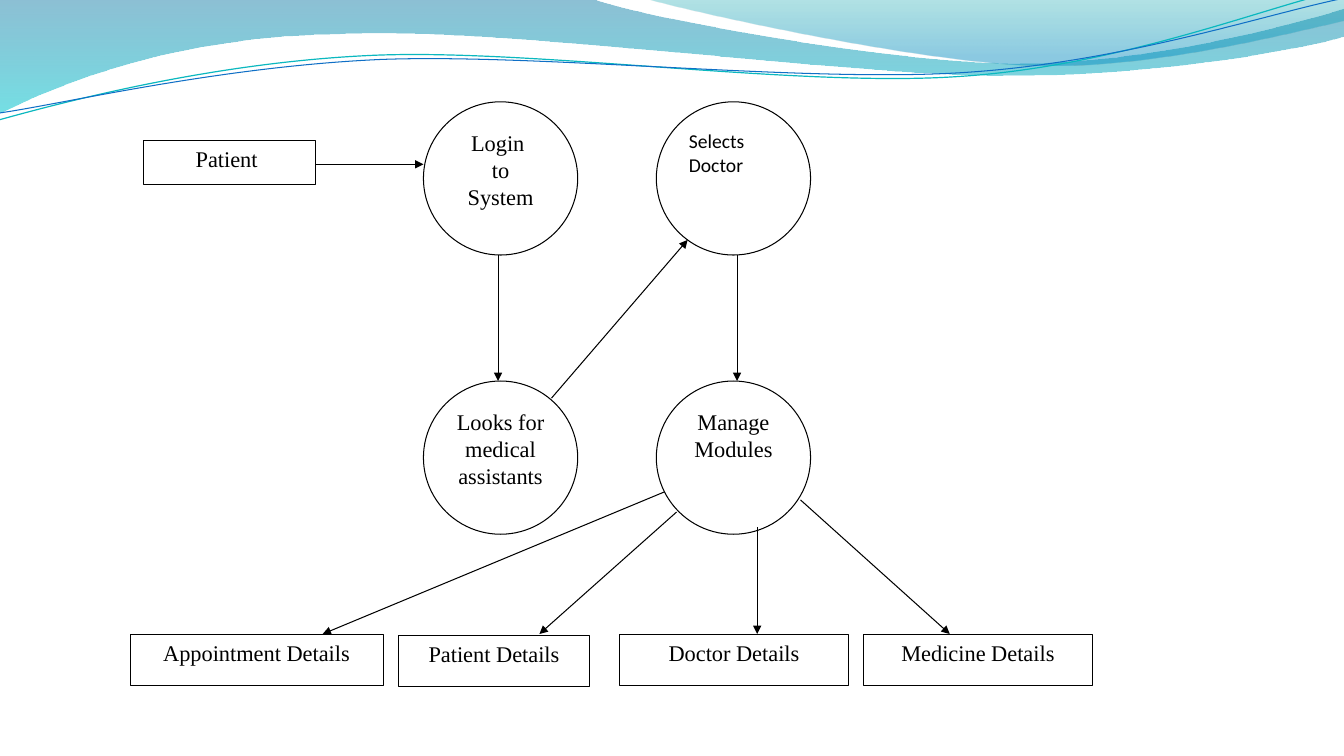
import math

import pptx
import pptx.dml.color
import pptx.enum.dml
import pptx.enum.shapes
import pptx.enum.text
import pptx.oxml
import pptx.oxml.ns
import pptx.util

WIDTH, HEIGHT = 13.33, 7.5
SERIF, SANS = "Times New Roman", "Calibri"
BLACK, WHITE = "000000", "FFFFFF"

# Header waves: a start point, then curves of six numbers or lines of two.
BANDS = [
    ([(0, 0), (5.87, -0.01),
      (6.34, 0.17, 8.85, 0.63, 10.11, 0.63), (11.38, 0.63, 12.78, 0.26, 13.33, 0.09),
      (13.35, 0.36),
      (13.11, 0.44, 11.6, 0.76, 9.94, 0.75), (8.29, 0.75, 5.09, 0.28, 3.43, 0.34),
      (1.72, 0.36, 0.61, 0.83, -0.01, 1.13)],
     [(0, "0074A1", 45), (1, "00C6CF", 55)]),
    ([(6.39, -0.01),
      (6.79, 0.11, 9.09, 0.62, 10.25, 0.65), (11.41, 0.69, 12.82, 0.32, 13.33, 0.21),
      (13.33, 0)],
     [(0, "00A1A9", 30), (0.8, "008BBF", 45)]),
]
STRANDS = [
    ([(-0.01, 1.19), (0.64, 1.01, 2.11, 0.62, 3.69, 0.55),
      (5.27, 0.48, 7.9, 0.87, 9.5, 0.76), (11.1, 0.66, 12.52, 0.08, 13.31, -0.1)],
     "0AB8BF", 0.85),
    ([(0, 1.12), (0.63, 1.03, 2.18, 0.66, 3.78, 0.59),
      (5.37, 0.53, 7.96, 0.82, 9.55, 0.72), (11.15, 0.62, 12.55, 0.14, 13.34, -0.02)],
     "0F6FC6", 0.75),
]
STRAND_TILT = -2.7
STRAND_CENTRE = (6.66, 0.58)

# Process circles stand on a grid of two columns and two rows.
COLUMNS, ROWS = (4.2, 6.51), (1.01, 3.78)
CIRCLE = (1.53, 1.52)
PROCESSES = [
    (0, 0, "Login \vto\vSystem", {}),
    (0, 1, "Looks for medical assistants", {}),
    (1, 1, "Manage Modules", {}),
    (1, 0, "Selects Doctor", {"font": SANS, "size": 14, "align": "LEFT"}),
]

PATIENT = (1.42, 1.39, 1.71, 0.44)
DETAIL_TOP, DETAIL_HEIGHT = 6.29, 0.51
DETAILS = [  # label, left, width, drop below the row, arrow start, arrow end x
    ("Appointment Details", 1.29, 2.51, 0, (6.59, 4.88), 3.2),
    ("Patient Details", 3.95, 1.9, 0.01, (6.71, 5.08), 5.35),
    ("Doctor Details", 6.14, 2.28, 0, (7.51, 5.23), 7.51),
    ("Medicine Details", 8.56, 2.28, 0, (7.94, 4.96), 9.42),
]

CIRCLE_FOOT = ROWS[0] + CIRCLE[1]
FLOWS = [
    ((PATIENT[0] + PATIENT[2], 1.63), (COLUMNS[0], 1.63)),
    ((4.94, CIRCLE_FOOT), (4.94, ROWS[1])),
    ((5.47, 3.95), (6.82, 2.38)),
    ((7.31, CIRCLE_FOOT), (7.31, ROWS[1])),
] + [(start, (end_x, DETAIL_TOP)) for *_, start, end_x in DETAILS]

deck = pptx.Presentation()
deck.slide_width = pptx.util.Inches(WIDTH)
deck.slide_height = pptx.util.Inches(HEIGHT)
page = deck.slides.add_slide(deck.slide_layouts[6])


def color(value):
    return pptx.dml.color.RGBColor.from_string(value)


def inches(values):
    return [pptx.util.Inches(value) for value in values]


def add_element(parent, tag, **attributes):
    child = pptx.oxml.parse_xml(f"<a:{tag} {pptx.oxml.ns.nsdecls('a')}/>")
    for name, value in attributes.items():
        child.set(name, value)
    parent.append(child)
    return child


def set_line(item, value, points):
    item.line.color.rgb = color(value)
    item.line.width = pptx.util.Pt(points)


def turn(point, degrees):
    """Turn a point clockwise about the centre of the strands."""
    angle = math.radians(degrees)
    across, down = (value - centre for value, centre in zip(point, STRAND_CENTRE))
    return (STRAND_CENTRE[0] + across * math.cos(angle) - down * math.sin(angle),
            STRAND_CENTRE[1] + across * math.sin(angle) + down * math.cos(angle))


def add_wave(segments, close, tilt=0):
    """Draw lines through all knots, then join each curve's three knots into one Bézier."""
    knots = [turn(segment[i:i + 2], -tilt)
             for segment in segments for i in range(0, len(segment), 2)]
    points = [tuple(inches(knot)) for knot in knots]
    builder = page.shapes.build_freeform(*points[0])
    builder.add_line_segments(points[1:], close=close)
    wave = builder.convert_to_shape()
    wave.shadow.inherit = False
    wave.rotation = tilt
    lines = iter(list(wave._element.iter(pptx.oxml.ns.qn("a:lnTo"))))
    for segment in segments[1:]:
        parts = [next(lines) for _ in range(len(segment) // 2)]
        if len(parts) == 3:
            outline = parts[0].getparent()
            curve = add_element(outline, "cubicBezTo")
            outline.replace(parts[0], curve)
            for part in parts:
                curve.append(part[0])
            for part in parts[1:]:
                outline.remove(part)
    return wave


def fill_gradient(shape, stops):
    shape.fill.gradient()
    shape.fill.gradient_angle = 270
    for stop, (position, value, _) in zip(shape.fill.gradient_stops, stops):
        stop.position = position
        stop.color.rgb = color(value)
    tag = pptx.oxml.ns.qn("a:srgbClr")
    for node, (_, _, opacity) in zip(shape.fill._xPr.iter(tag), stops):
        add_element(node, "alpha", val=str(opacity * 1000))


def write(shape, text, font=SERIF, size=16, align="CENTER"):
    frame = shape.text_frame
    frame.word_wrap = True
    frame.vertical_anchor = pptx.enum.text.MSO_ANCHOR.TOP
    para = frame.paragraphs[0]
    para.text = text
    para.alignment = pptx.enum.text.PP_ALIGN[align]
    para.space_after = pptx.util.Pt(10)
    for span in para.runs:
        span.font.name = font
        span.font.size = pptx.util.Pt(size)
        span.font.color.rgb = color(BLACK)


def add_node(kind, bounds, text, **style):
    node = page.shapes.add_shape(pptx.enum.shapes.MSO_SHAPE[kind], *inches(bounds))
    node.shadow.inherit = False
    node.fill.solid()
    node.fill.fore_color.rgb = color(WHITE)
    set_line(node, BLACK, 0.75)
    write(node, text, **style)


def add_arrow(start, end):
    arrow = page.shapes.add_connector(
        pptx.enum.shapes.MSO_CONNECTOR.STRAIGHT, *inches(start + end))
    set_line(arrow, BLACK, 0.75)
    add_element(arrow.line._get_or_add_ln(), "tailEnd", type="triangle")
    add_element(arrow._element.spPr, "effectLst")


for segments, stops in BANDS:
    band = add_wave(segments, close=True)
    fill_gradient(band, stops)
    band.line.fill.background()
for segments, value, points in STRANDS:
    strand = add_wave(segments, close=False, tilt=STRAND_TILT)
    strand.fill.background()
    set_line(strand, value, points)

for column, row, label, style in PROCESSES:
    add_node("OVAL", (COLUMNS[column], ROWS[row], *CIRCLE), label, **style)
add_node("RECTANGLE", PATIENT, "Patient ")
for label, left, width, drop, *_ in DETAILS:
    add_node("RECTANGLE", (left, DETAIL_TOP + drop, width, DETAIL_HEIGHT), label)
for start, end in FLOWS:
    add_arrow(start, end)

deck.save("out.pptx")
